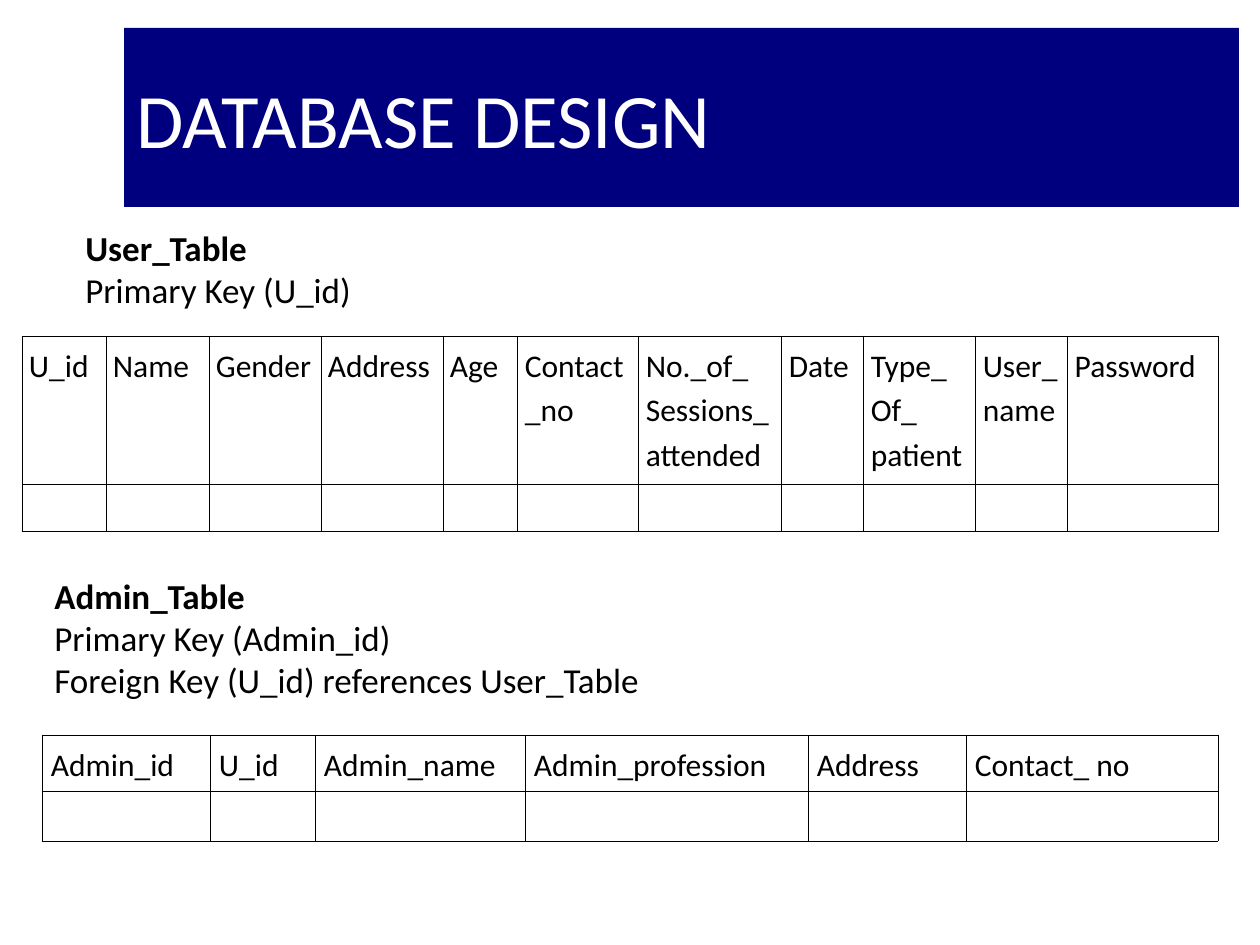
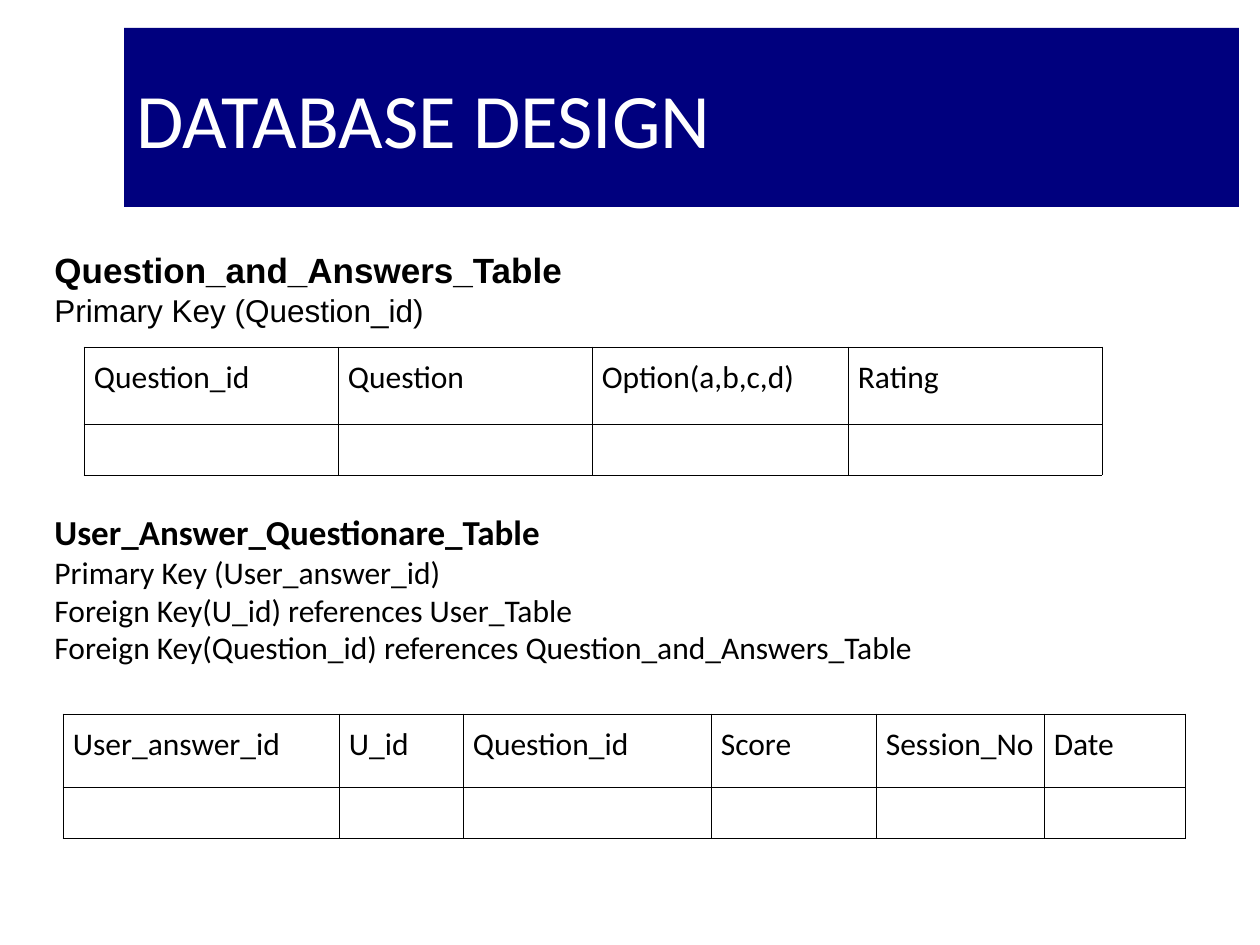
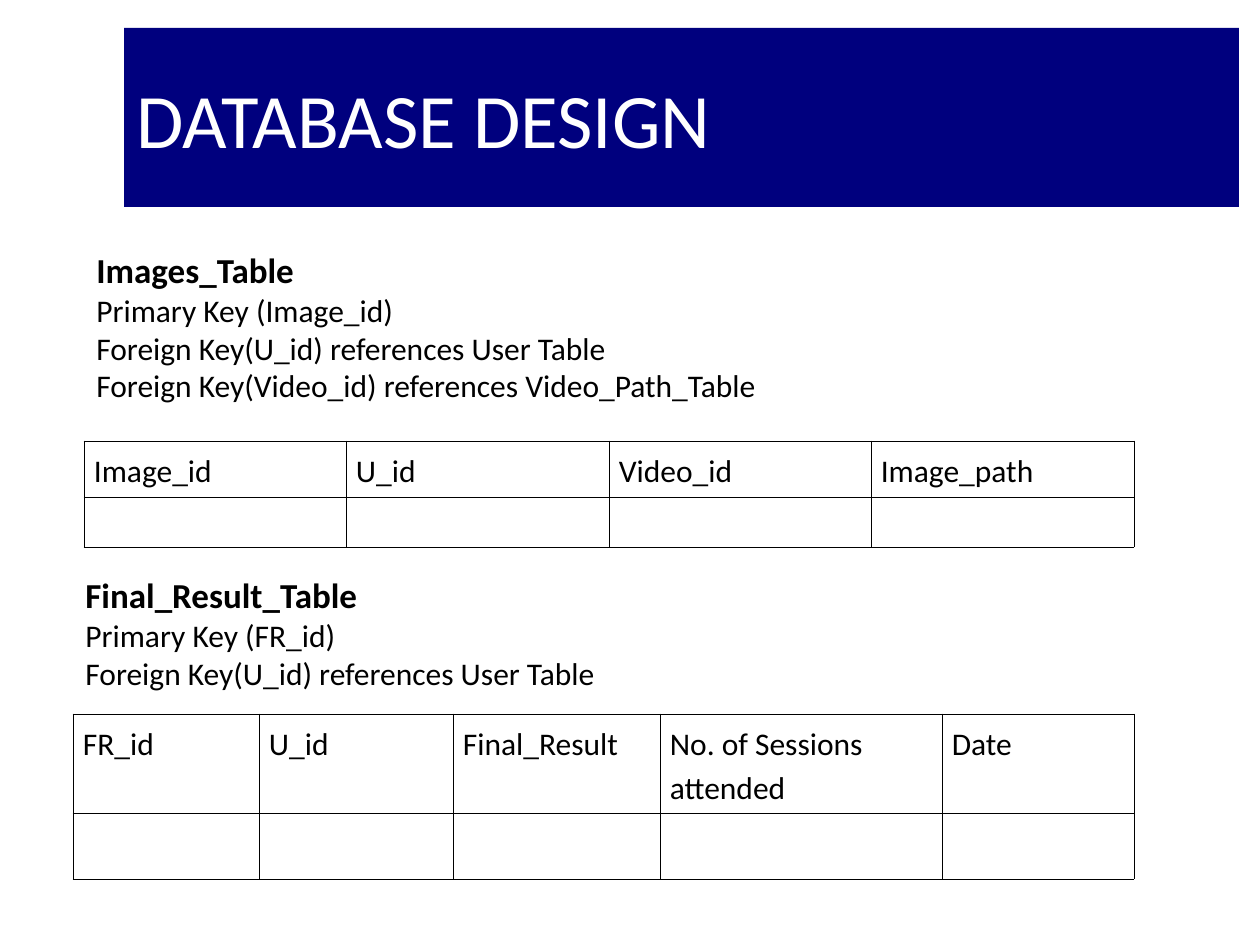
from lxml.etree import SubElement
from pptx import Presentation
from pptx.dml.color import RGBColor
from pptx.enum.shapes import MSO_SHAPE
from pptx.enum.text import MSO_ANCHOR, PP_ALIGN
from pptx.oxml.ns import qn
from pptx.util import Pt

NAVY = RGBColor(0x00, 0x00, 0x7E)
WHITE = RGBColor(0xFF, 0xFF, 0xFF)
BLACK = RGBColor(0x00, 0x00, 0x00)
EMU_PER_PX = 914400 / 126
SLIDE_WIDTH, SLIDE_HEIGHT = 1260, 945
BORDER_WIDTH = Pt(0.45)
FONT = "Calibri"


def px(length):
    return round(length * EMU_PER_PX)


def write_line(paragraph, text, *, size=18, font=FONT, color=BLACK, bold=False, spacing=None):
    paragraph.alignment = PP_ALIGN.LEFT
    paragraph.line_spacing = spacing
    run = paragraph.add_run()
    run.text = text
    run.font.name = font
    run.font.size = Pt(size)
    run.font.bold = bold
    run.font.color.rgb = color


def next_paragraph(frame, index):
    return frame.add_paragraph() if index else frame.paragraphs[0]


def draw_borders(cell):
    properties = cell._tc.get_or_add_tcPr()
    for side in ("lnL", "lnR", "lnT", "lnB"):
        line = SubElement(properties, qn(f"a:{side}"), w=str(BORDER_WIDTH))
        fill = SubElement(line, qn("a:solidFill"))
        SubElement(fill, qn("a:srgbClr"), val=str(BLACK))


class SchemaDeck:
    def __init__(self):
        self.presentation = Presentation()
        self.presentation.slide_width = px(SLIDE_WIDTH)
        self.presentation.slide_height = px(SLIDE_HEIGHT)
        self.slide = None

    def add_slide(self, title):
        self.slide = self.presentation.slides.add_slide(self.presentation.slide_layouts[6])
        band = self.slide.shapes.add_shape(
            MSO_SHAPE.RECTANGLE, px(124), px(28), px(1115), px(179))
        band.shadow.inherit = False
        band.fill.solid()
        band.fill.fore_color.rgb = NAVY
        band.line.fill.background()
        band.text_frame.vertical_anchor = MSO_ANCHOR.MIDDLE
        write_line(band.text_frame.paragraphs[0], title, size=44, color=WHITE)

    def add_heading(self, left, top, width, height, name, keys, *, key_size=18, font=FONT):
        """Write a table's name in bold with its keys below."""
        box = self.slide.shapes.add_textbox(px(left), px(top), px(width), px(height))
        frame = box.text_frame
        frame.word_wrap = True
        frame.vertical_anchor = MSO_ANCHOR.MIDDLE
        write_line(frame.paragraphs[0], name, size=20, font=font, bold=True)
        for key in keys:
            write_line(frame.add_paragraph(), key, size=key_size, font=font)

    def add_schema(self, left, top, row_heights, columns, *, side_margin=10):
        """Draw a row of field names above an empty row; columns pairs each name with a width."""
        width = sum(column_width for _, column_width in columns)
        table = self.slide.shapes.add_table(
            len(row_heights), len(columns), px(left), px(top),
            px(width), px(sum(row_heights))).table
        table.first_row = table.horz_banding = False
        for row, height in zip(table.rows, row_heights):
            row.height = px(height)
        for index, (field, column_width) in enumerate(columns):
            table.columns[index].width = px(column_width)
            frame = table.cell(0, index).text_frame
            for position, line in enumerate(field.split("\n")):
                write_line(next_paragraph(frame, position), line, spacing=1.15)
        for cell in table.iter_cells():
            cell.margin_left = cell.margin_right = px(side_margin)
            cell.margin_top = cell.margin_bottom = px(6 if cell.text else 4)
            draw_borders(cell)
            cell.fill.background()


def add_users_and_admins(deck):
    deck.add_heading(73, 220, 1187, 97, "User_Table", ["Primary Key (U_id)"], key_size=20)
    deck.add_schema(22, 336, (148, 47), [
        ("U_id", 84), ("Name", 103), ("Gender", 112), ("Address", 122), ("Age", 75),
        ("Contact\n_no", 121), ("No._of_\nSessions_attended", 143), ("Date", 82),
        ("Type_\nOf_\npatient", 112), ("User_name", 92), ("Password", 151),
    ], side_margin=7)
    deck.add_heading(42, 568, 616, 139, "Admin_Table", [
        "Primary Key (Admin_id)",
        "Foreign Key (U_id) references User_Table",
    ], key_size=20)
    deck.add_schema(42, 735, (56, 50), [
        ("Admin_id", 168), ("U_id", 105), ("Admin_name", 210),
        ("Admin_profession", 283), ("Address", 158), ("Contact_ no", 252),
    ], side_margin=9)


def add_questions_and_answers(deck):
    deck.add_heading(42, 242, 1218, 93, "Question_and_Answers_Table",
                     ["Primary Key (Question_id)"], font="Arial")
    deck.add_schema(84, 347, (77, 51), [
        ("Question_id", 254), ("Question", 254), ("Option(a,b,c,d)", 256), ("Rating", 254),
    ])
    deck.add_heading(42, 504, 1218, 169, "User_Answer_Questionare_Table", [
        "Primary Key (User_answer_id)",
        "Foreign Key(U_id) references User_Table",
        "Foreign Key(Question_id) references Question_and_Answers_Table",
    ])
    deck.add_schema(63, 714, (73, 51), [
        ("User_answer_id", 276), ("U_id", 124), ("Question_id", 248),
        ("Score", 165), ("Session_No", 168), ("Date", 142),
    ])


def add_images_and_results(deck):
    deck.add_heading(84, 242, 935, 169, "Images_Table", [
        "Primary Key (Image_id)",
        "Foreign Key(U_id) references User Table",
        "Foreign Key(Video_id) references Video_Path_Table",
    ])
    deck.add_schema(84, 441, (56, 50), [
        ("Image_id", 262), ("U_id", 263), ("Video_id", 262), ("Image_path", 263),
    ])
    deck.add_heading(73, 567, 1155, 131, "Final_Result_Table", [
        "Primary Key (FR_id)",
        "Foreign Key(U_id) references User Table",
    ])
    deck.add_schema(73, 714, (99, 66), [
        ("FR_id", 186), ("U_id", 194), ("Final_Result", 207),
        ("No. of Sessions attended", 282), ("Date", 192),
    ])


def main():
    deck = SchemaDeck()
    for add_content in (add_users_and_admins, add_questions_and_answers, add_images_and_results):
        deck.add_slide("DATABASE DESIGN")
        add_content(deck)
    deck.presentation.save("out.pptx")


if __name__ == "__main__":
    main()
